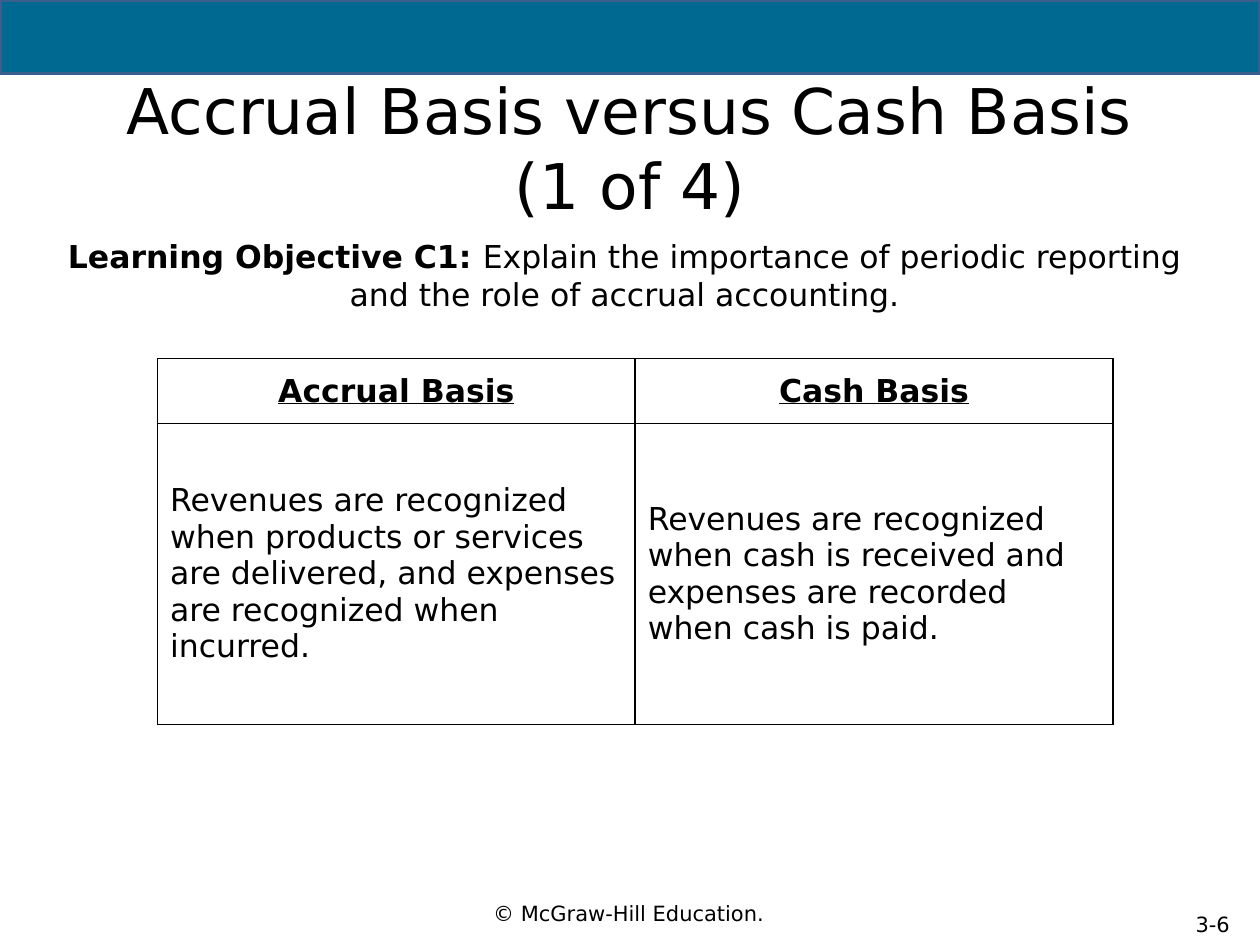
"""Build the accrual basis versus cash basis slide."""
import pptx
import pptx.util
import pptx.dml.color
import pptx.enum.shapes
import pptx.enum.text
import pptx.oxml

Pt = pptx.util.Pt
RGB = pptx.dml.color.RGBColor.from_string
ALIGN = pptx.enum.text.PP_ALIGN
MIDDLE = pptx.enum.text.MSO_ANCHOR.MIDDLE
TOP = pptx.enum.text.MSO_ANCHOR.TOP

COLORS = {"text": "000000", "band": "006991", "band_line": "3A5F8C"}
FONT = "DejaVu Sans"
BOLD = {"bold": True}
HEADING = {"bold": True, "underline": True}

TITLE = ("Accrual Basis versus Cash Basis (1 of 4)", (42, 42, 636, 84))
BOXES = [
    ([("3-6", {})], (666, 516, 54, 24), 12, MIDDLE),
    ([("© McGraw-Hill Education.", {})], (67.5, 504, 583.5, 36), 12, MIDDLE),
    ([("Learning Objective C1: ", BOLD),
      ("Explain the importance of periodic reporting and the role of "
       "accrual accounting.", {})], (30, 132, 654, 54), 18, TOP),
]
TABLE_AT = (90, 205, 546, 209)
ROW_HEIGHTS = (37, 172)
ROWS = [
    ["Accrual Basis", "Cash Basis"],
    ["Revenues are recognized when products or services are delivered, "
     "and expenses are recognized when incurred.",
     "Revenues are recognized when cash is received and expenses are "
     "recorded when cash is paid."],
]
ROW_STYLES = [(ALIGN.CENTER, HEADING), (ALIGN.LEFT, {})]


def write(tf, runs, size, align=ALIGN.CENTER):
    p = tf.paragraphs[0]
    p.alignment = align
    for text, extra in runs:
        r = p.add_run()
        r.text = text
        for name, value in {"name": FONT, "size": Pt(size), "bold": False, **extra}.items():
            setattr(r.font, name, value)
        r.font.color.rgb = RGB(COLORS["text"])


def format_frame(tf, anchor):
    for name, value in {"word_wrap": True, "vertical_anchor": anchor,
                        "auto_size": pptx.enum.text.MSO_AUTO_SIZE.NONE}.items():
        setattr(tf, name, value)


def add_borders(cell):
    tc_pr = cell._tc.get_or_add_tcPr()
    for i, side in enumerate(("lnL", "lnR", "lnT", "lnB")):
        tc_pr.insert(i, pptx.oxml.parse_xml(
            f'<a:{side} xmlns:a="http://schemas.openxmlformats.org/drawingml/2006/main" '
            f'w="{Pt(1)}"><a:solidFill><a:srgbClr val="{COLORS["text"]}"/>'
            f'</a:solidFill></a:{side}>'))


def add_band(s):
    sp = s.shapes.add_shape(pptx.enum.shapes.MSO_SHAPE.RECTANGLE, 0, 0, Pt(720), Pt(42))
    sp.shadow.inherit = False
    sp.fill.solid()
    sp.fill.fore_color.rgb = RGB(COLORS["band"])
    sp.line.color.rgb = RGB(COLORS["band_line"])
    sp.line.width = Pt(2)


def add_title(s):
    text, at = TITLE
    sp = s.shapes.title
    for name, value in zip(("left", "top", "width", "height"), at):
        setattr(sp, name, Pt(value))
    format_frame(sp.text_frame, MIDDLE)
    write(sp.text_frame, [(text, {})], 36)


def add_comparison(s):
    frame = s.shapes.add_table(len(ROWS), len(ROWS[0]), *map(Pt, TABLE_AT))
    table = frame.table
    table.first_row = table.horz_banding = False
    for i, (texts, height, (align, extra)) in enumerate(zip(ROWS, ROW_HEIGHTS, ROW_STYLES)):
        table.rows[i].height = Pt(height)
        for j, text in enumerate(texts):
            cell = table.cell(i, j)
            cell.vertical_anchor = MIDDLE
            cell.fill.background()
            add_borders(cell)
            write(cell.text_frame, [(text, extra)], 18, align)


def main():
    prs = pptx.Presentation()
    prs.slide_width, prs.slide_height = Pt(720), Pt(540)
    s = prs.slides.add_slide(prs.slide_layouts[5])
    add_band(s)
    add_title(s)
    for runs, at, size, anchor in BOXES:
        tf = s.shapes.add_textbox(*map(Pt, at)).text_frame
        format_frame(tf, anchor)
        write(tf, runs, size)
    add_comparison(s)
    prs.save("out.pptx")


if __name__ == "__main__":
    main()
